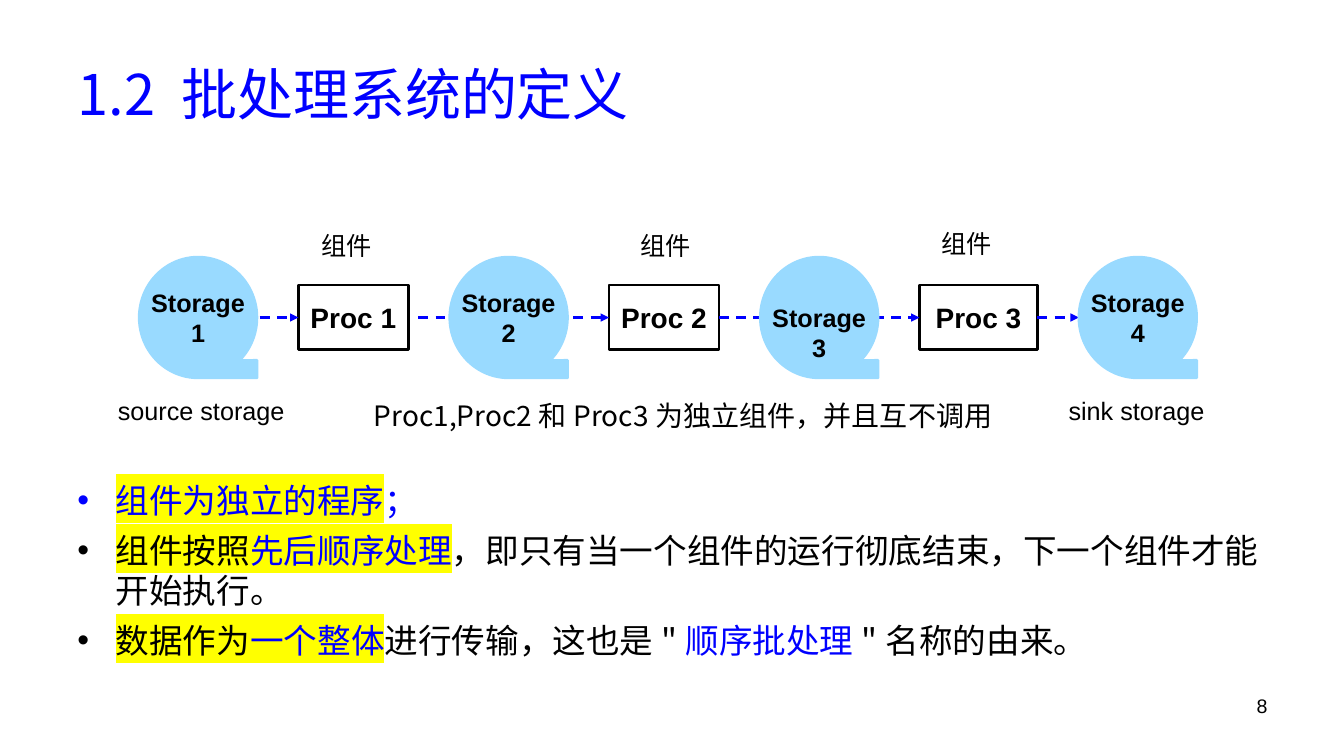
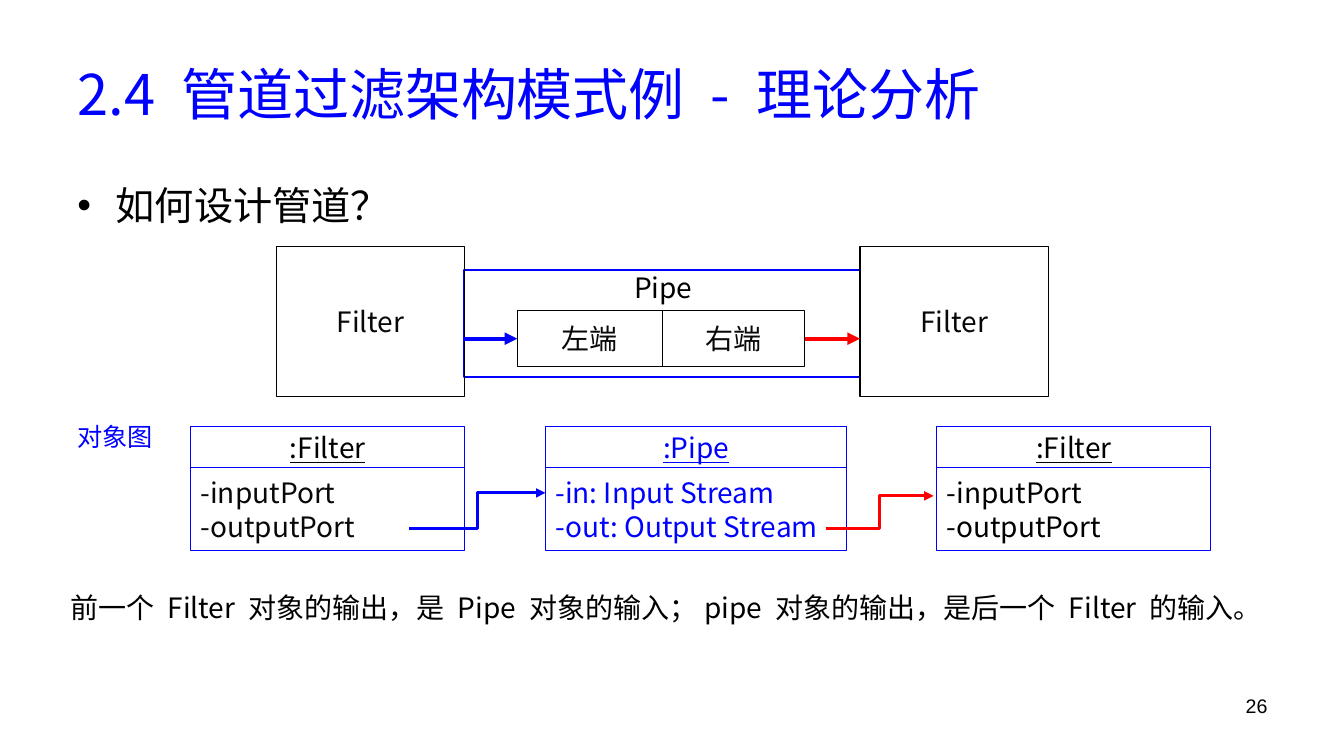
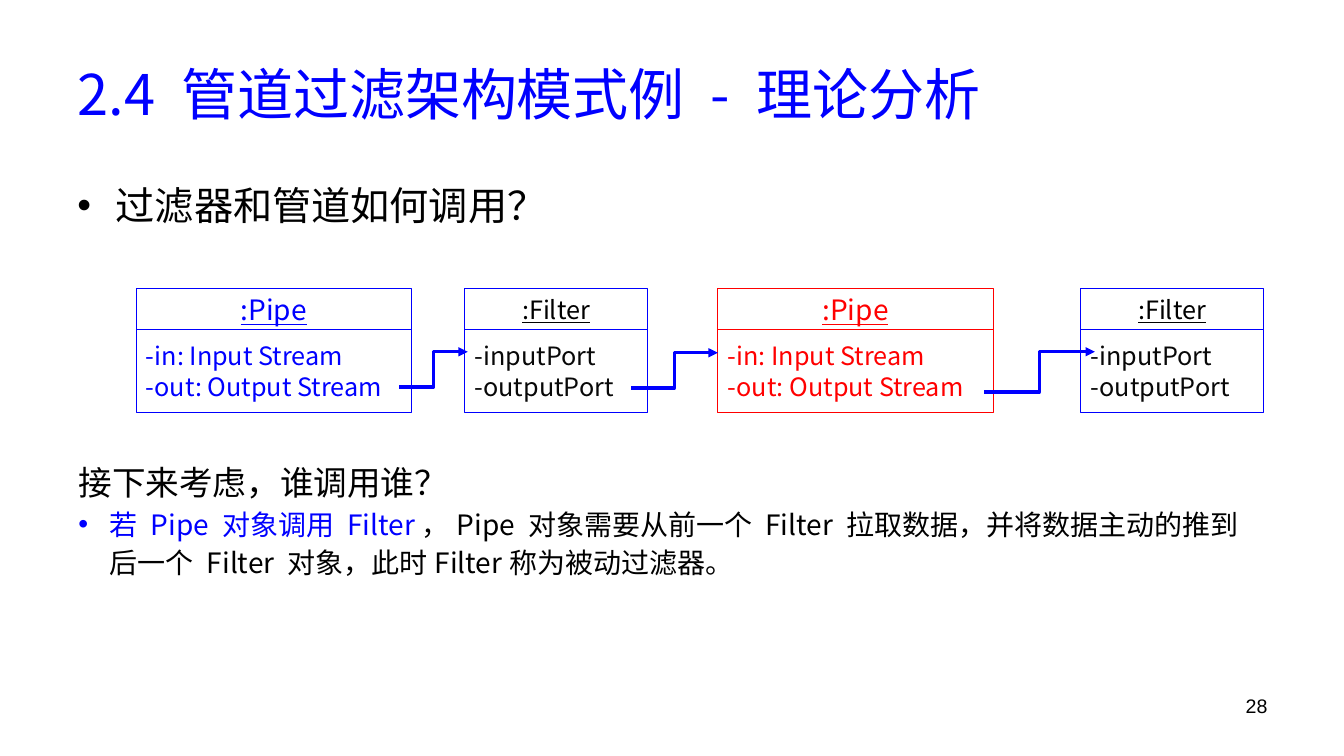
from dataclasses import dataclass
from typing import Any

from lxml import etree
from pptx import Presentation
from pptx.dml.color import RGBColor
from pptx.enum.dml import MSO_LINE
from pptx.enum.shapes import MSO_CONNECTOR, MSO_SHAPE
from pptx.enum.text import MSO_ANCHOR, MSO_AUTO_SIZE, PP_ALIGN
from pptx.oxml.ns import qn
from pptx.util import Inches, Pt

# Shared look
BLUE, RED, BLACK, INK = "0000FF", "FF0000", "000000", "080808"
WHITE, YELLOW, SKY = "FFFFFF", "FFFF00", "99DAFF"
CJK, LATIN = "Noto Sans CJK SC", "Arial"
LEFT, CENTER, RIGHT = PP_ALIGN.LEFT, PP_ALIGN.CENTER, PP_ALIGN.RIGHT
TOP, MIDDLE = MSO_ANCHOR.TOP, MSO_ANCHOR.MIDDLE
RECTANGLE, TAPE = MSO_SHAPE.RECTANGLE, MSO_SHAPE.FLOWCHART_SEQUENTIAL_ACCESS_STORAGE
STRAIGHT, ELBOW = MSO_CONNECTOR.STRAIGHT, MSO_CONNECTOR.ELBOW
SIDE_LEFT, SIDE_RIGHT = 1, 3
HEADER_HEIGHT, FIELDS_HEIGHT = 0.41, 0.82
FILTER_FIELDS = ["-inputPort", "-outputPort"]
PIPE_FIELDS = ["-in: Input Stream", "-out: Output Stream"]


@dataclass
class Span:
    text: str
    color: str = BLACK
    highlight: str | None = None


@dataclass
class Para:
    spans: list[Span]
    size: float
    indent: float = 0  # a hanging indent carries a bullet
    before: float = 0
    spacing: float | None = None


@dataclass
class ObjectCard:
    left: float
    top: float
    width: float
    name: str
    fields: list[str]
    line: str = BLUE
    name_color: str = BLACK
    field_color: str = INK
    name_size: float = 20
    field_size: float = 20


@dataclass
class Elbow:
    start: tuple[float, float]
    end: tuple[float, float]
    color: str = BLUE


def rgb(color: str) -> RGBColor:
    return RGBColor.from_string(color)


def format_span(run: Any, size: float, color: str, font: str, bold: bool = False,
                underline: bool = False, highlight: str | None = None) -> None:
    run.font.size = Pt(size)
    run.font.bold = bold
    run.font.underline = underline
    run.font.color.rgb = rgb(color)
    run.font.name = font
    latin = run.font._element.find(qn("a:latin"))
    east_asian = etree.Element(qn("a:ea"))
    east_asian.set("typeface", font)
    latin.addnext(east_asian)
    if highlight:
        mark = etree.Element(qn("a:highlight"))
        etree.SubElement(mark, qn("a:srgbClr")).set("val", highlight)
        latin.addprevious(mark)


def add_bullet(para: Any, indent: float) -> None:
    properties = para._p.get_or_add_pPr()
    properties.set("marL", str(Inches(indent)))
    properties.set("indent", str(-Inches(indent)))
    etree.SubElement(properties, qn("a:buFont")).set("typeface", LATIN)
    etree.SubElement(properties, qn("a:buChar")).set("char", "•")


def write(shape: Any, text: str | list[str] | list[Para], size: float = 20,
          color: str = BLACK, font: str = CJK, align: PP_ALIGN = LEFT,
          anchor: MSO_ANCHOR = TOP, wrap: bool = True, bold: bool = False,
          underline: bool = False) -> None:
    frame = shape.text_frame
    frame.auto_size = MSO_AUTO_SIZE.NONE
    frame.word_wrap = wrap
    frame.vertical_anchor = anchor
    items = [text] if isinstance(text, str) else text
    for index, item in enumerate(items):
        source = Para([Span(item, color)], size) if isinstance(item, str) else item
        para = frame.paragraphs[0] if index == 0 else frame.add_paragraph()
        para.alignment = align
        if source.indent:
            add_bullet(para, source.indent)
        if source.spacing:
            para.line_spacing = source.spacing
        if index and source.before:
            para.space_before = Pt(source.before)
        for span in source.spans:
            run = para.add_run()
            run.text = span.text
            format_span(run, source.size, span.color, font, bold, underline, span.highlight)


def add_text(page: Any, left: float, top: float, width: float, height: float,
             text: str | list[Para], **text_format: Any) -> None:
    box = page.shapes.add_textbox(Inches(left), Inches(top), Inches(width), Inches(height))
    write(box, text, **text_format)


def add_box(page: Any, left: float, top: float, width: float, height: float,
            text: str | list[str] = "", fill: str | None = None,
            line: str | None = BLACK, line_width: float = 0.75,
            preset: MSO_SHAPE = RECTANGLE, **text_format: Any) -> Any:
    box = page.shapes.add_shape(preset, Inches(left), Inches(top), Inches(width), Inches(height))
    box.shadow.inherit = False
    if fill:
        box.fill.solid()
        box.fill.fore_color.rgb = rgb(fill)
    else:
        box.fill.background()
    if line:
        box.line.color.rgb = rgb(line)
        box.line.width = Pt(line_width)
    else:
        box.line.fill.background()
    if text:
        write(box, text, **text_format)
    return box


def add_arrow(page: Any, start: tuple[float, float], end: tuple[float, float],
              color: str = BLUE, width: float = 2.25, kind: MSO_CONNECTOR = STRAIGHT,
              dashed: bool = False) -> Any:
    arrow = page.shapes.add_connector(kind, *map(Inches, start), *map(Inches, end))
    arrow.line.color.rgb = rgb(color)
    arrow.line.width = Pt(width)
    if dashed:
        arrow.line.dash_style = MSO_LINE.DASH
    line = arrow.line._get_or_add_ln()
    etree.SubElement(line, qn("a:tailEnd")).set("type", "triangle")
    etree.SubElement(arrow._element.spPr, qn("a:effectLst"))
    return arrow


def add_card(page: Any, card: ObjectCard) -> None:
    shared = {"fill": WHITE, "line": card.line, "anchor": MIDDLE}
    add_box(page, card.left, card.top, card.width, HEADER_HEIGHT, card.name,
            size=card.name_size, color=card.name_color, underline=True, align=CENTER, **shared)
    add_box(page, card.left, card.top + HEADER_HEIGHT, card.width, FIELDS_HEIGHT, card.fields,
            size=card.field_size, color=card.field_color, **shared)


def add_object_diagram(page: Any, cards: list[ObjectCard], elbows: list[Elbow]) -> None:
    for card in cards:
        add_card(page, card)
    for elbow in elbows:
        add_arrow(page, elbow.start, elbow.end, elbow.color, kind=ELBOW)


def start_page(deck: Any, title: str, number: int) -> Any:
    page = deck.slides.add_slide(deck.slide_layouts[5])
    holder = page.shapes.title
    holder.left, holder.top = Inches(0.67), Inches(0.3)
    holder.width, holder.height = Inches(12), Inches(1.25)
    write(holder, title, size=40, color=BLUE, anchor=MIDDLE)
    add_text(page, 9.56, 6.83, 3.11, 0.52, str(number), size=14, font=LATIN, align=RIGHT)
    return page


def add_question(page: Any, text: str) -> None:
    add_text(page, 0.67, 1.75, 12, 0.6, [Para([Span(text)], 28, indent=0.38)])


def build_batch_page(deck: Any) -> None:
    page = start_page(deck, "1.2 批处理系统的定义", 8)
    middle = 3.15

    # Processing steps
    steps = [
        add_box(page, left, 2.83, width, 0.64, f"Proc {index}", line_width=1.75, font=LATIN,
                bold=True, align=CENTER, anchor=MIDDLE, wrap=False)
        for index, (left, width) in enumerate([(2.96, 1.09), (6.04, 1.09), (9.12, 1.17)], 1)
    ]

    # Data flow: start, end, step it leaves, step it enters
    flows = [
        (1.38, 2.96, None, steps[0]),
        (4.15, 6.04, None, steps[1]),
        (7.13, 9.12, steps[1], steps[2]),
        (10.29, 10.7, steps[2], None),
    ]
    for start, end, source, target in flows:
        arrow = add_arrow(page, (start, middle), (end, middle), width=1.75, dashed=True)
        if source:
            arrow.begin_connect(source, SIDE_RIGHT)
        if target:
            arrow.end_connect(target, SIDE_LEFT)

    # Storages
    storages = [
        add_box(page, left, 2.55, 1.17, 1.2, ["Storage", str(index)], fill=SKY, line=SKY,
                line_width=1.75, preset=TAPE, size=18, font=LATIN, bold=True, align=CENTER,
                anchor=MIDDLE, wrap=False)
        for index, left in enumerate([1.38, 4.46, 7.54, 10.7], 1)
    ]
    storages[2].text_frame.margin_top = Inches(0.29)
    storages[2].text_frame.margin_bottom = 0

    # Labels
    for left, top in [(3.09, 2.24), (6.25, 2.24), (9.24, 2.22)]:
        add_text(page, left, top, 0.75, 0.47, "组件", size=18, wrap=False)
    for left, width, label in [(1.07, 1.99, "source storage"), (10.5, 1.66, "sink storage")]:
        add_text(page, left, 3.87, width, 0.47, label, size=18, font=LATIN, wrap=False)
    add_text(page, 3.37, 3.9, 6.81, 0.51, "Proc1,Proc2和Proc3为独立组件，并且互不调用",
             align=CENTER)

    # Definition
    points = [
        [Span("组件为独立的程序", BLUE, YELLOW), Span("；", BLUE)],
        [Span("组件按照", highlight=YELLOW), Span("先后顺序处理", BLUE, YELLOW),
         Span("，即只有当一个组件的运行彻底结束，下一个组件才能开始执行。")],
        [Span("数据作为", highlight=YELLOW), Span("一个整体", BLUE, YELLOW),
         Span("进行传输，这也是\""), Span("顺序批处理", BLUE), Span("\"名称的由来。")],
    ]
    add_text(page, 0.67, 4.71, 12, 1.99,
             [Para(spans, 24, indent=0.38, before=6.7) for spans in points])


def build_pipe_page(deck: Any) -> None:
    page = start_page(deck, "2.4 管道过滤架构模式例 - 理论分析", 26)
    add_question(page, "如何设计管道？")

    # Pipe between two filters
    centered = {"color": INK, "align": CENTER, "anchor": MIDDLE}
    left_end = add_box(page, 5.13, 3.08, 1.44, 0.56, "左端", **centered)
    add_box(page, 6.19, 2.63, 0.79, 0.44, "Pipe", fill=WHITE, line=None, wrap=False)
    right_end = add_box(page, 6.57, 3.08, 1.41, 0.56, "右端", **centered)
    add_box(page, 4.6, 2.68, 3.93, 1.06, line=BLUE, line_width=1.25)
    for left in (2.74, 8.53):
        add_box(page, left, 2.45, 1.87, 1.48, "Filter", **centered)
    inflow = add_arrow(page, (4.6, 3.36), (5.13, 3.36), width=3)
    inflow.end_connect(left_end, SIDE_LEFT)
    outflow = add_arrow(page, (7.98, 3.36), (8.53, 3.36), RED, width=3)
    outflow.begin_connect(right_end, SIDE_RIGHT)

    # Object diagram
    add_object_diagram(
        page,
        [
            ObjectCard(5.41, 4.23, 2.99, ":Pipe", PIPE_FIELDS, name_color=BLUE, field_color=BLUE),
            ObjectCard(1.89, 4.23, 2.72, ":Filter", FILTER_FIELDS),
            ObjectCard(9.29, 4.23, 2.72, ":Filter", FILTER_FIELDS, field_color=BLACK),
        ],
        [Elbow((4.06, 5.24), (5.41, 4.89)), Elbow((8.19, 5.24), (9.26, 4.92), RED)],
    )
    add_text(page, 0.67, 4.13, 0.96, 0.4, "对象图", size=18, color=BLUE, wrap=False)
    add_text(page, 0.6, 5.81, 12.1, 0.44,
             "前一个 Filter 对象的输出，是 Pipe 对象的输入；pipe 对象的输出，是后一个 Filter 的输入。")


def build_call_page(deck: Any) -> None:
    page = start_page(deck, "2.4 管道过滤架构模式例 - 理论分析", 28)
    add_question(page, "过滤器和管道如何调用？")

    # Object diagram
    pipes = [
        ObjectCard(left, 2.86, 2.73, ":Pipe", PIPE_FIELDS, line=color, name_color=color,
                   field_color=color, field_size=18)
        for left, color in [(1.35, BLUE), (7.12, RED)]
    ]
    filters = [
        ObjectCard(left, 2.86, 1.81, ":Filter", FILTER_FIELDS, name_size=18, field_size=18)
        for left in (4.61, 10.72)
    ]
    add_object_diagram(
        page,
        pipes + filters,
        [
            Elbow((3.96, 3.84), (4.64, 3.49)),
            Elbow((6.26, 3.85), (7.12, 3.5)),
            Elbow((9.76, 3.89), (10.86, 3.49)),
        ],
    )

    # Who calls whom
    add_text(page, 0.68, 4.48, 11.97, 1.33, [
        Para([Span("接下来考虑，谁调用谁？")], 24, spacing=1.14),
        Para([Span("若 Pipe 对象调用 Filter", BLUE),
              Span("，Pipe 对象需要从前一个 Filter 拉取数据，并将数据主动的推到后一个 Filter 对象，"
                   "此时Filter称为被动过滤器。")], 20, indent=0.31, spacing=1.14),
    ])


def main() -> None:
    deck = Presentation()
    deck.slide_width, deck.slide_height = Inches(13.33), Inches(7.5)
    build_batch_page(deck)
    build_pipe_page(deck)
    build_call_page(deck)
    deck.save("out.pptx")


if __name__ == "__main__":
    main()
